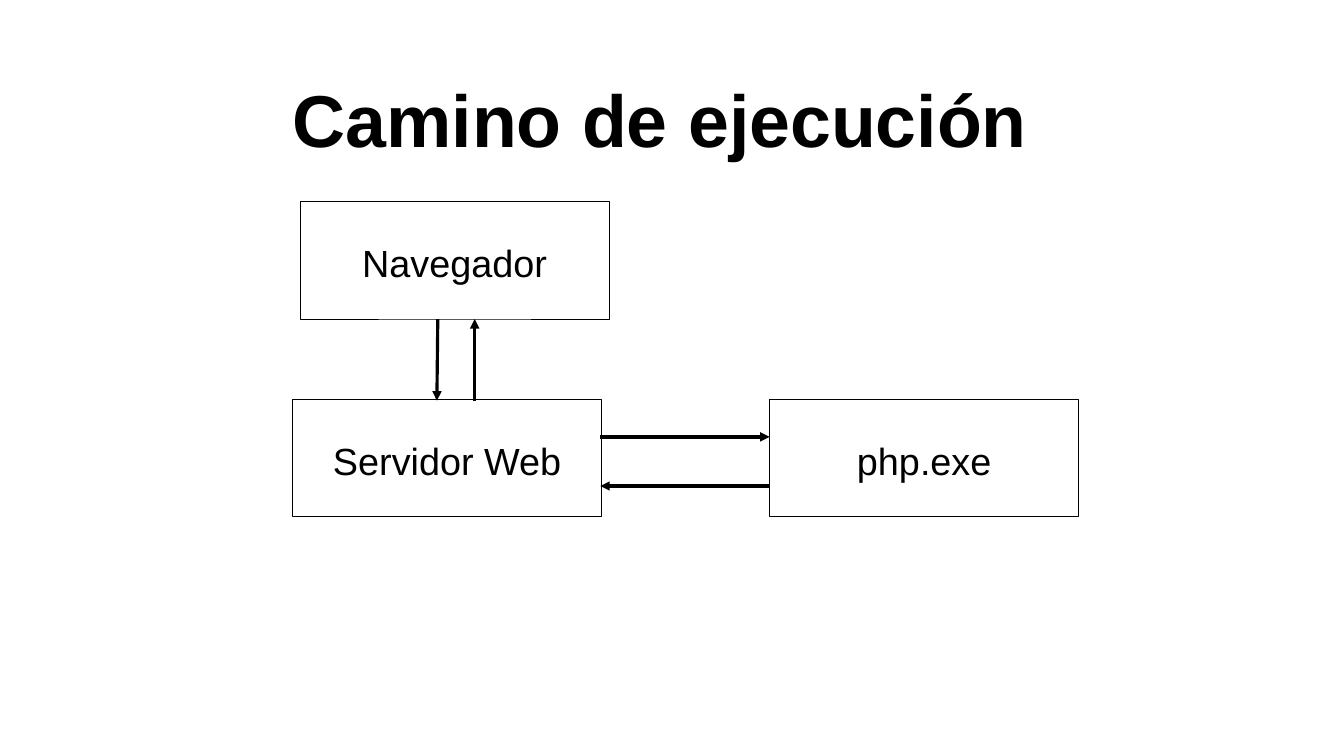
"""Build the slide on the execution path from browser to php.exe."""
from dataclasses import dataclass

from lxml import etree
from pptx import Presentation
from pptx.dml.color import RGBColor
from pptx.enum.shapes import MSO_CONNECTOR, MSO_SHAPE
from pptx.enum.text import MSO_ANCHOR, MSO_AUTO_SIZE, PP_ALIGN
from pptx.oxml.ns import qn
from pptx.util import Cm, Pt

RECT = MSO_SHAPE.RECTANGLE
LINE = MSO_CONNECTOR.STRAIGHT
MID = MSO_ANCHOR.MIDDLE
LEFT, CENTER = PP_ALIGN.LEFT, PP_ALIGN.CENTER
NO_FIT = MSO_AUTO_SIZE.NONE


@dataclass
class Theme:
    ink: RGBColor = RGBColor(0, 0, 0)
    paper: RGBColor = RGBColor(255, 255, 255)
    face: str = "Arial"
    head: Pt = Pt(70)
    label: Pt = Pt(36)
    edge: Pt = Pt(0.75)
    arrow: Pt = Pt(3)


theme = Theme()


def write(shape, text, size, bold, align, space, inset):
    frame = shape.text_frame
    frame.text = text
    frame.word_wrap = True
    frame.auto_size = NO_FIT
    frame.vertical_anchor = MID
    frame.margin_left = frame.margin_right = inset
    frame.margin_top = frame.margin_bottom = inset
    para = frame.paragraphs[0]
    para.alignment = align
    para.line_spacing = space
    para.space_before = Pt(0)
    para.font.name = theme.face
    para.font.size = size
    para.font.bold = bold
    para.font.color.rgb = theme.ink


deck = Presentation()
deck.slide_width, deck.slide_height = Cm(45.16), Cm(25.4)
slide = deck.slides.add_slide(deck.slide_layouts[5])
slide.background.fill.solid()
slide.background.fill.fore_color.rgb = theme.paper

title = slide.shapes.title
title.left, title.top = Cm(9.83), Cm(2.59)
title.width, title.height = Cm(29.16), Cm(3.1)
write(title, "Camino de ejecución", theme.head, True, LEFT, 0.9, Cm(0))

wide, high = 10.39, 3.94
boxes = [
    ("Navegador", 10.08, 6.78),
    ("Servidor Web", 9.83, 13.41),
    ("php.exe", 25.86, 13.41),
]
for text, x, y in boxes:
    box = slide.shapes.add_shape(RECT, Cm(x), Cm(y), Cm(wide), Cm(high))
    box.shadow.inherit = False
    box.fill.background()
    box.line.color.rgb = theme.ink
    box.line.width = theme.edge
    write(box, text, theme.label, False, CENTER, 1.1, Cm(0.25))

arrows = [
    (14.71, 10.72, 14.68, 13.46),
    (15.95, 13.46, 15.95, 10.72),
    (20.17, 14.68, 25.86, 14.68),
    (25.88, 16.33, 20.17, 16.33),
]
for ends in arrows:
    arrow = slide.shapes.add_connector(LINE, *map(Cm, ends))
    arrow.line.color.rgb = theme.ink
    arrow.line.width = theme.arrow
    stroke = arrow.line._get_or_add_ln()
    etree.SubElement(stroke, qn("a:tailEnd"), type="triangle")
    etree.SubElement(arrow._element.spPr, qn("a:effectLst"))

deck.save("out.pptx")
